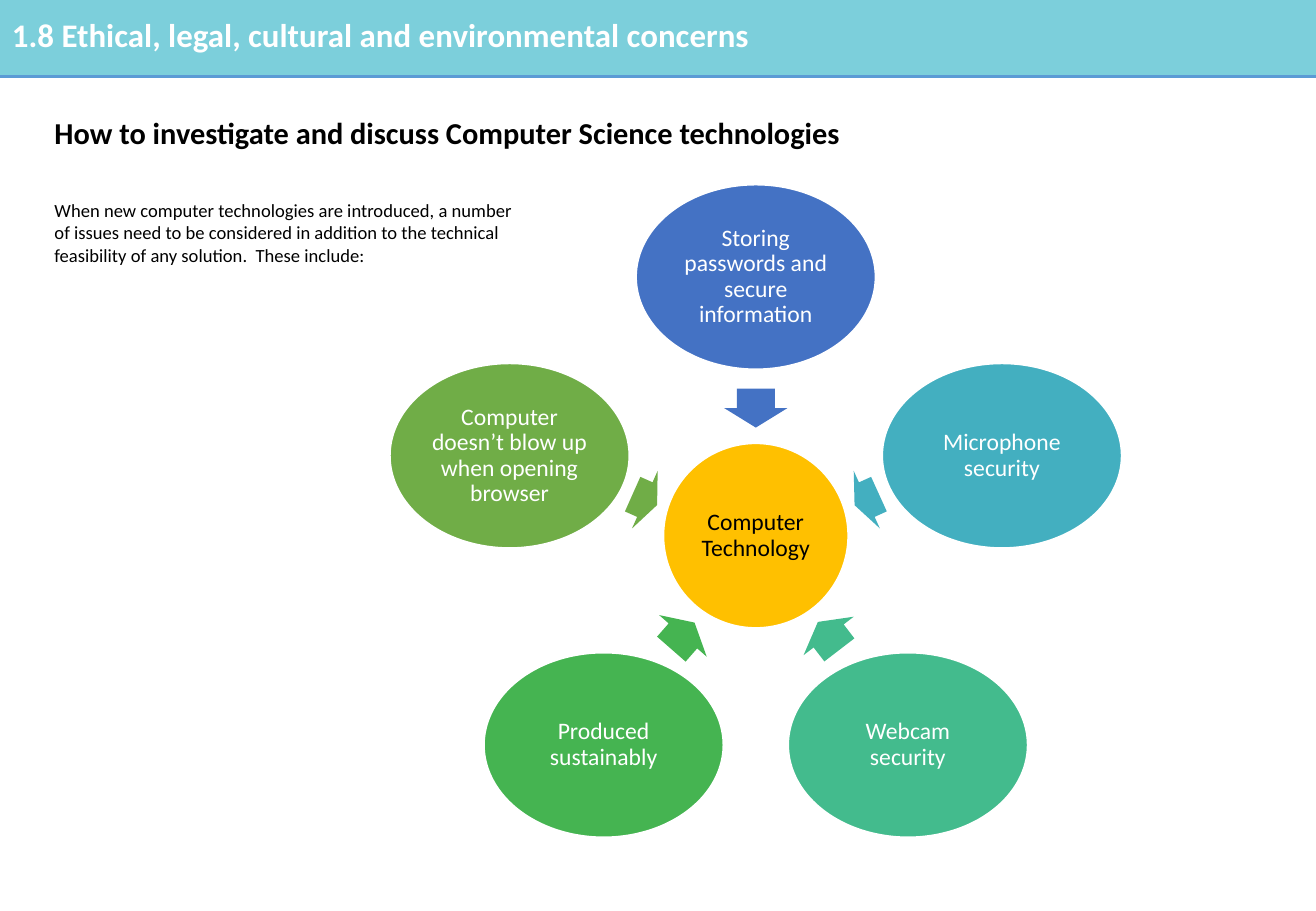
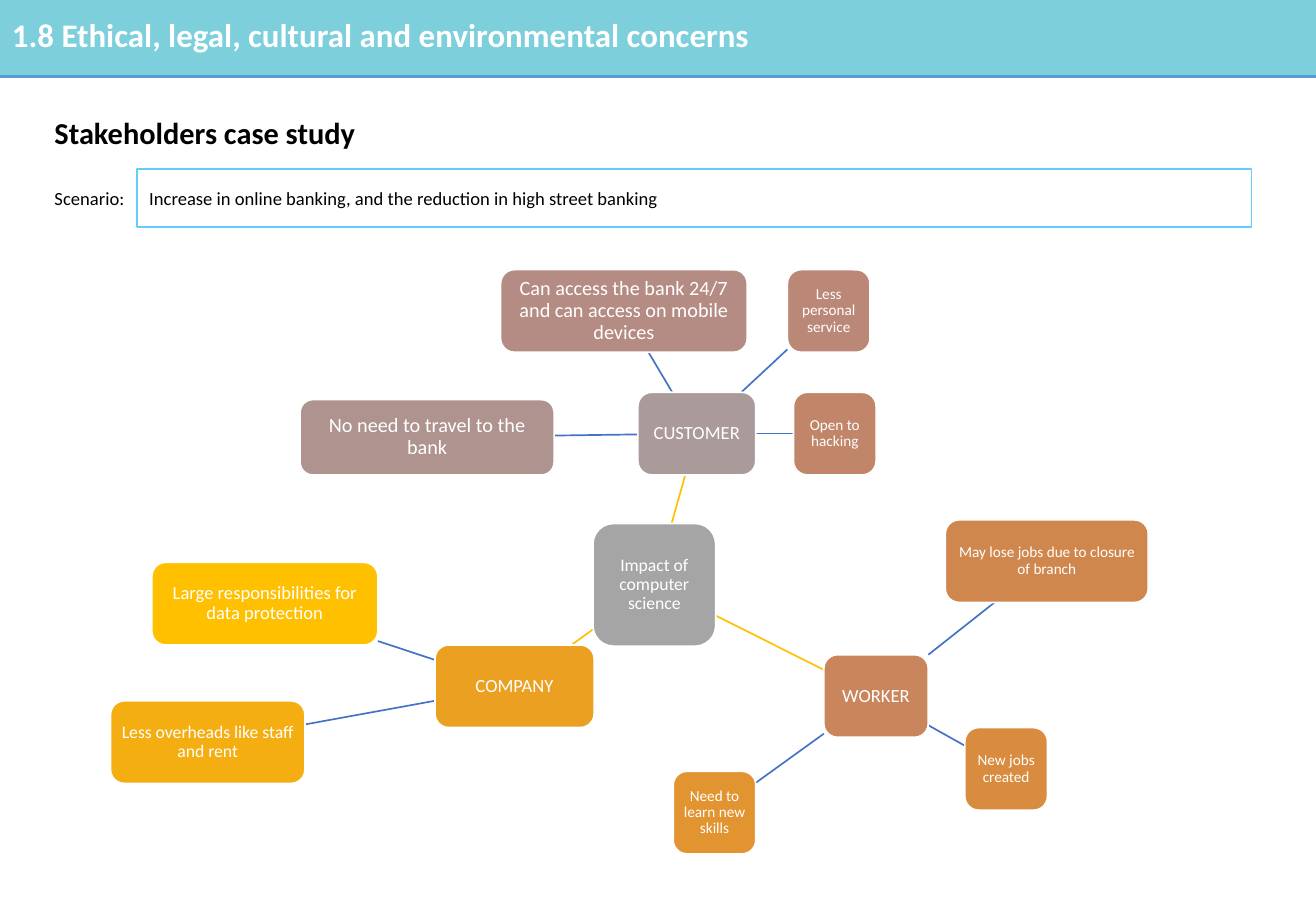
import colorsys
import math

from lxml import etree
from pptx import Presentation
from pptx.dml.color import RGBColor
from pptx.enum.shapes import MSO_CONNECTOR, MSO_SHAPE
from pptx.enum.text import MSO_ANCHOR, PP_ALIGN
from pptx.oxml.ns import qn
from pptx.util import Inches, Pt

STRAIGHT = MSO_CONNECTOR.STRAIGHT
RECTANGLE = MSO_SHAPE.RECTANGLE
ROUNDED = MSO_SHAPE.ROUNDED_RECTANGLE
OVAL = MSO_SHAPE.OVAL
RIGHT_ARROW = MSO_SHAPE.RIGHT_ARROW
TOP, MIDDLE = MSO_ANCHOR.TOP, MSO_ANCHOR.MIDDLE
LEFT, CENTER = PP_ALIGN.LEFT, PP_ALIGN.CENTER

WIDTH, HEIGHT, BAND_HEIGHT = 10.83, 7.5, 0.63
FONT = "Calibri"
BLACK = RGBColor(0x00, 0x00, 0x00)
WHITE = RGBColor(0xFF, 0xFF, 0xFF)
BAND = RGBColor(0x7C, 0xCF, 0xDB)
RULE = RGBColor(0x5B, 0x9B, 0xD5)
FRAME = RGBColor(0x66, 0xCC, 0xFF)
BLUE = RGBColor(0x44, 0x72, 0xC4)
TEAL = RGBColor(0x43, 0xAF, 0xC0)
MINT = RGBColor(0x43, 0xBB, 0x8D)
GREEN = RGBColor(0x45, 0xB4, 0x51)
OLIVE = RGBColor(0x70, 0xAD, 0x47)
GOLD = RGBColor(0xFF, 0xC0, 0x00)


class Deck:
    """Holds the shared style and the slide being built."""

    def __init__(self):
        self.presentation = Presentation()
        self.presentation.slide_width = Inches(WIDTH)
        self.presentation.slide_height = Inches(HEIGHT)
        self.slide = None

    def new_slide(self, title):
        self.slide = self.presentation.slides.add_slide(self.presentation.slide_layouts[6])
        self.shape(RECTANGLE, (0, 0, WIDTH, BAND_HEIGHT), BAND)
        self.line((0, BAND_HEIGHT), (WIDTH, BAND_HEIGHT), RULE, 2.25)
        self.text((0, 0.07, 9.48, 0.43),
                  "1.8 Ethical, legal, cultural and environmental concerns",
                  size=19.5, color=WHITE, bold=True)
        self.text((0.35, 0.83, 10.1, 0.56), title, size=18, bold=True,
                  anchor=MIDDLE, spacing=0.9)

    def fill_text(self, shape, text, size=11, color=BLACK, bold=False, align=LEFT,
                  anchor=TOP, spacing=1.0, inset=None, wrap=True):
        frame = shape.text_frame
        frame.word_wrap = wrap
        frame.vertical_anchor = anchor
        if inset is not None:
            for side in ("left", "right", "top", "bottom"):
                setattr(frame, "margin_" + side, Inches(inset))
        paragraph = frame.paragraphs[0]
        paragraph.text = text
        paragraph.alignment = align
        paragraph.line_spacing = spacing
        style = {"name": FONT, "size": Pt(size), "bold": bold}
        for run in paragraph.runs:
            for name, value in style.items():
                setattr(run.font, name, value)
            run.font.color.rgb = color

    def text(self, box, text, **style):
        self.fill_text(self.slide.shapes.add_textbox(*map(Inches, box)), text, **style)

    def shape(self, kind, box, fill=None, line=None):
        shape = self.slide.shapes.add_shape(kind, *map(Inches, box))
        shape.shadow.inherit = False
        if fill is None:
            shape.fill.background()
        else:
            shape.fill.solid()
            shape.fill.fore_color.rgb = fill
        if line is None:
            shape.line.fill.background()
        else:
            shape.line.color.rgb = line
            shape.line.width = Pt(1)
        return shape

    def node(self, kind, box, fill, text, size, color=WHITE, inset=0.03):
        shape = self.shape(kind, box, fill, WHITE)
        self.fill_text(shape, text, size=size, color=color, align=CENTER,
                       anchor=MIDDLE, spacing=0.9, inset=inset)

    def arrow(self, center, length, rotation, fill, width=0.52):
        x, y = center
        arrow = self.shape(RIGHT_ARROW, (x - length / 2, y - width / 2, length, width), fill)
        arrow.adjustments[0], arrow.adjustments[1] = 0.6, 0.5
        arrow.rotation = rotation

    def line(self, start, end, color, width=1):
        line = self.slide.shapes.add_connector(STRAIGHT, *map(Inches, (*start, *end)))
        line.line.color.rgb = color
        line.line.width = Pt(width)
        etree.SubElement(line._element.spPr, qn("a:effectLst"))


def around(center, radius, degrees):
    """Point at a clockwise angle from the top of a circle."""
    angle = math.radians(degrees)
    return center[0] + radius * math.sin(angle), center[1] - radius * math.cos(angle)


def middle(box):
    left, top, width, height = box
    return left + width / 2, top + height / 2


def edge_point(box, target):
    """Where the line from the middle of a box to a target leaves the box."""
    x, y = middle(box)
    across, down = target[0] - x, target[1] - y
    share = 1 / max(abs(across) / (box[2] / 2), abs(down) / (box[3] / 2))
    return x + across * share, y + down * share


def map_color(step, steps=12):
    """Blend from grey to gold through hue, lightness and saturation."""
    part = step / steps
    rgb = colorsys.hls_to_rgb(45.2 / 360 * part, 0.647 - 0.147 * part, part)
    return RGBColor(*(round(255 * channel) for channel in rgb))


def technology_slide(deck):
    deck.new_slide("How to investigate and discuss Computer Science technologies")
    deck.text((0.35, 1.59, 4.01, 0.66),
              "When new computer technologies are introduced, a number of issues need to be "
              "considered in addition to the technical feasibility of any solution.  "
              "These include:")

    # Hub with a ring of issues: text, colour, arrow length, distance, rotation
    hub, hub_size, ring, issue_width = (6.22, 4.41), 1.52, 2.13, 1.97
    issues = [
        ("Storing passwords and secure information", BLUE, 0.32, 1.05, 90),
        ("Microphone security", TEAL, 0.22, 0.96, 155.6),
        ("Webcam security", MINT, 0.29, 1.02, 232.5),
        ("Produced sustainably", GREEN, 0.29, 1.02, 311.2),
        ("Computer doesn’t blow up when opening browser", OLIVE, 0.22, 0.96, 24),
    ]
    deck.node(OVAL, (hub[0] - hub_size / 2, hub[1] - hub_size / 2, hub_size, hub_size),
              GOLD, "Computer\vTechnology", 14, BLACK, 0.02)
    for index, (text, color, length, distance, rotation) in enumerate(issues):
        degrees = index * 360 / len(issues)
        deck.arrow(around(hub, distance, degrees), length, rotation, color)
        x, y = around(hub, ring, degrees)
        deck.node(OVAL, (x - issue_width / 2, y - hub_size / 2, issue_width, hub_size),
                  color, text, 14, inset=0.02)


def stakeholder_slide(deck):
    deck.new_slide("Stakeholders case study")

    # Mind map: text, box, size, then the branches
    root = (4.88, 4.31, 1.01, 1.01)
    stakeholders = [
        ("CUSTOMER", (5.25, 3.23, 0.97, 0.68), [
            ("No need to travel to the bank", (2.47, 3.29, 2.09, 0.62), 12),
            ("Can access the bank 24/7 and can access on mobile devices",
             (4.12, 2.22, 2.03, 0.68), 12),
            ("Less personal service", (6.48, 2.22, 0.68, 0.68), 9),
            ("Open to hacking", (6.53, 3.23, 0.68, 0.68), 9),
        ]),
        ("WORKER", (6.78, 5.39, 0.86, 0.68), [
            ("May lose jobs due to closure of branch", (7.78, 4.28, 1.67, 0.68), 9),
            ("New jobs created", (7.94, 5.99, 0.68, 0.68), 9),
            ("Need to learn new skills", (5.54, 6.35, 0.68, 0.68), 9),
        ]),
        ("COMPANY", (3.58, 5.31, 1.31, 0.68), [
            ("Less overheads like staff and rent", (0.91, 5.77, 1.6, 0.68), 10.5),
            ("Large responsibilities for data protection", (1.25, 4.63, 1.86, 0.68), 11),
        ]),
    ]
    nodes = [("Impact of computer science", root, 10.5)]
    links = []
    for name, box, effects in stakeholders:
        nodes += [(name, box, 11), *effects]
        links.append((root, box, GOLD))
        links += [(box, effect[1], BLUE) for effect in effects]
    for first, second, color in links:
        deck.line(edge_point(first, middle(second)), edge_point(second, middle(first)), color)
    for step, (text, box, size) in enumerate(nodes):
        deck.node(ROUNDED, box, map_color(step), text, size)

    # Scenario
    deck.text((0.35, 1.49, 0.78, 0.29), "Scenario:", wrap=False)
    scenario = deck.shape(RECTANGLE, (1.13, 1.39, 9.17, 0.48), line=FRAME)
    deck.fill_text(scenario,
                   "Increase in online banking, and the reduction in high street banking",
                   anchor=MIDDLE)


def main():
    deck = Deck()
    technology_slide(deck)
    stakeholder_slide(deck)
    deck.presentation.save("out.pptx")


if __name__ == "__main__":
    main()
